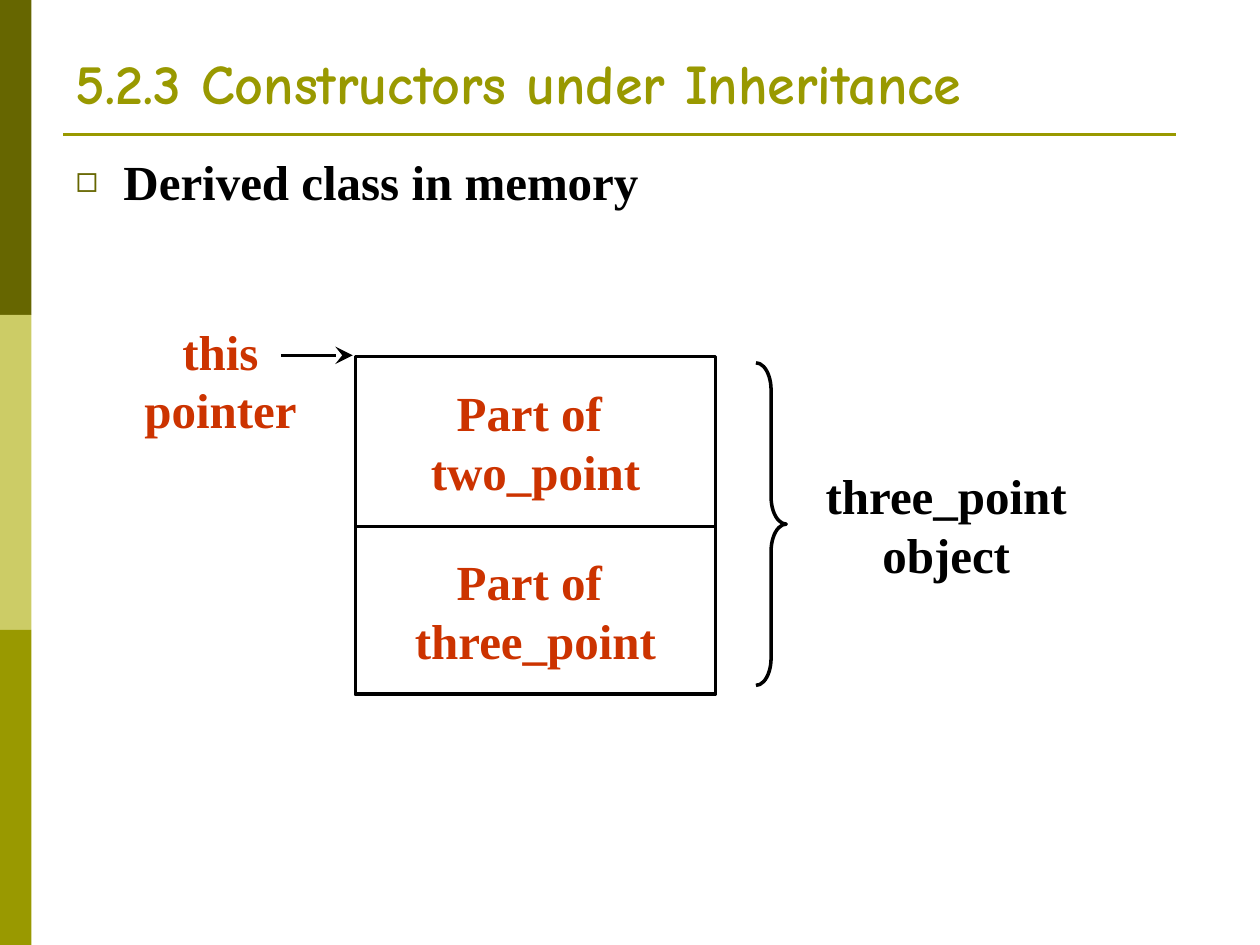
from dataclasses import dataclass

import lxml.etree
import pptx
import pptx.dml.color
import pptx.enum.shapes
import pptx.enum.text
import pptx.oxml.ns
import pptx.util
from pptx.util import Inches

SHAPES = pptx.enum.shapes.MSO_SHAPE
ANCHOR = pptx.enum.text.MSO_ANCHOR
ALIGN = pptx.enum.text.PP_ALIGN


@dataclass(frozen=True)
class Theme:
    dark: str = "666600"
    light: str = "CCCC66"
    accent: str = "999900"
    ink: str = "000000"
    highlight: str = "CC3300"
    title_font: str = "Comic Neue"
    text_font: str = "Times New Roman"
    title_size: float = 32
    text_size: float = 28
    rule_width: float = 1.5
    line_width: float = 2


@dataclass(frozen=True)
class Label:
    lines: tuple[str, ...]
    left: float
    top: float
    width: float
    height: float
    color: str
    outlined: bool = False


THEME = Theme()
BAND_COLORS = (THEME.dark, THEME.light, THEME.accent)
LABELS = (
    Label(("Part of ", "two_point"), 2.82, 2.83, 2.86, 1.35, THEME.highlight, True),
    Label(("Part of ", "three_point"), 2.82, 4.18, 2.86, 1.33, THEME.highlight, True),
    Label(("this", "pointer"), 1, 2.5, 1.5, 1.03, THEME.highlight),
    Label(("three_point", "object"), 6.08, 3.5, 2.86, 1.33, THEME.ink),
)


def rgb(color: str) -> pptx.dml.color.RGBColor:
    return pptx.dml.color.RGBColor.from_string(color)


def set_attributes(target, values: dict) -> None:
    for name, value in values.items():
        setattr(target, name, value)


def add_run(paragraph, text: str, font: str, size: float, color: str) -> None:
    run = paragraph.add_run()
    run.text = text
    set_attributes(run.font, {"name": font, "size": pptx.util.Pt(size), "bold": True})
    run.font.color.rgb = rgb(color)


def style_line(shape, color: str, width: float) -> None:
    shape.line.color.rgb = rgb(color)
    shape.line.width = pptx.util.Pt(width)


def add_child(parent, tag: str, **attributes: str):
    return lxml.etree.SubElement(parent, pptx.oxml.ns.qn(tag), attributes)


def add_plain_shape(slide, kind, left: float, top: float, width: float, height: float):
    shape = slide.shapes.add_shape(
        kind, Inches(left), Inches(top), Inches(width), Inches(height)
    )
    shape.shadow.inherit = False
    shape.fill.background()
    return shape


def add_rule(slide, left: float, right: float, top: float, color: str, width: float):
    connector = slide.shapes.add_connector(
        pptx.enum.shapes.MSO_CONNECTOR.STRAIGHT,
        Inches(left), Inches(top), Inches(right), Inches(top),
    )
    style_line(connector, color, width)
    add_child(connector._element.spPr, "a:effectLst")
    return connector


def fill_placeholder(placeholder, bounds: tuple[float, ...], anchor):
    for name, value in zip(("left", "top", "width", "height"), bounds):
        setattr(placeholder, name, Inches(value))
    frame = placeholder.text_frame
    set_attributes(frame, {
        "word_wrap": True,
        "auto_size": pptx.enum.text.MSO_AUTO_SIZE.NONE,
        "vertical_anchor": anchor,
    })
    paragraph = frame.paragraphs[0]
    set_attributes(paragraph, {"alignment": ALIGN.LEFT, "space_before": pptx.util.Pt(0)})
    return paragraph


def add_square_bullet(paragraph, color: str) -> None:
    properties = paragraph._p.get_or_add_pPr()
    for name, value in {"marL": 0.38, "indent": -0.38}.items():
        properties.set(name, str(int(Inches(value))))
    add_child(add_child(properties, "a:buClr"), "a:srgbClr", val=color)
    add_child(properties, "a:buSzPct", val="75000")
    add_child(properties, "a:buChar", char="◻")


def add_label(slide, label: Label) -> None:
    bounds = (label.left, label.top, label.width, label.height)
    if label.outlined:
        shape = add_plain_shape(slide, SHAPES.RECTANGLE, *bounds)
        style_line(shape, THEME.ink, THEME.line_width)
    else:
        shape = slide.shapes.add_textbox(*map(Inches, bounds))
    frame = shape.text_frame
    set_attributes(frame, {"word_wrap": False, "vertical_anchor": ANCHOR.MIDDLE})
    for index, line in enumerate(label.lines):
        paragraph = frame.add_paragraph() if index else frame.paragraphs[0]
        paragraph.alignment = ALIGN.CENTER
        add_run(paragraph, line, THEME.text_font, THEME.text_size, label.color)


def main() -> None:
    presentation = pptx.Presentation()
    presentation.slide_width = Inches(10)
    presentation.slide_height = Inches(7.5)
    slide = presentation.slides.add_slide(presentation.slide_layouts[1])

    # Side bands and title rule
    band_height = 7.5 / len(BAND_COLORS)
    for index, color in enumerate(BAND_COLORS):
        band = add_plain_shape(
            slide, SHAPES.RECTANGLE, 0, index * band_height, 0.25, band_height
        )
        band.fill.solid()
        band.fill.fore_color.rgb = rgb(color)
        band.line.fill.background()
    add_rule(slide, 0.5, 9.33, 1.07, THEME.accent, THEME.rule_width)

    # Title and bullet
    title = fill_placeholder(slide.shapes.title, (0.5, 0.28, 9, 0.69), ANCHOR.BOTTOM)
    add_run(title, "5.2.3 Constructors under Inheritance",
            THEME.title_font, THEME.title_size, THEME.accent)
    bullet = fill_placeholder(slide.placeholders[1], (0.5, 1.15, 9, 1.1), ANCHOR.TOP)
    add_square_bullet(bullet, THEME.dark)
    add_run(bullet, "Derived class in memory",
            THEME.text_font, THEME.text_size, THEME.ink)

    # Memory blocks and their labels
    for label in LABELS:
        add_label(slide, label)

    # Pointer arrow
    arrow = add_rule(slide, 2.23, 2.8, 2.82, THEME.ink, THEME.line_width)
    add_child(arrow.line._get_or_add_ln(), "a:tailEnd",
              type="stealth", w="lg", len="lg")

    # Brace spanning the whole object
    brace = add_plain_shape(slide, SHAPES.RIGHT_BRACE, 6, 2.88, 0.24, 2.56)
    brace.adjustments[0] = 0.9
    style_line(brace, THEME.ink, THEME.line_width)

    presentation.save("out.pptx")


if __name__ == "__main__":
    main()
